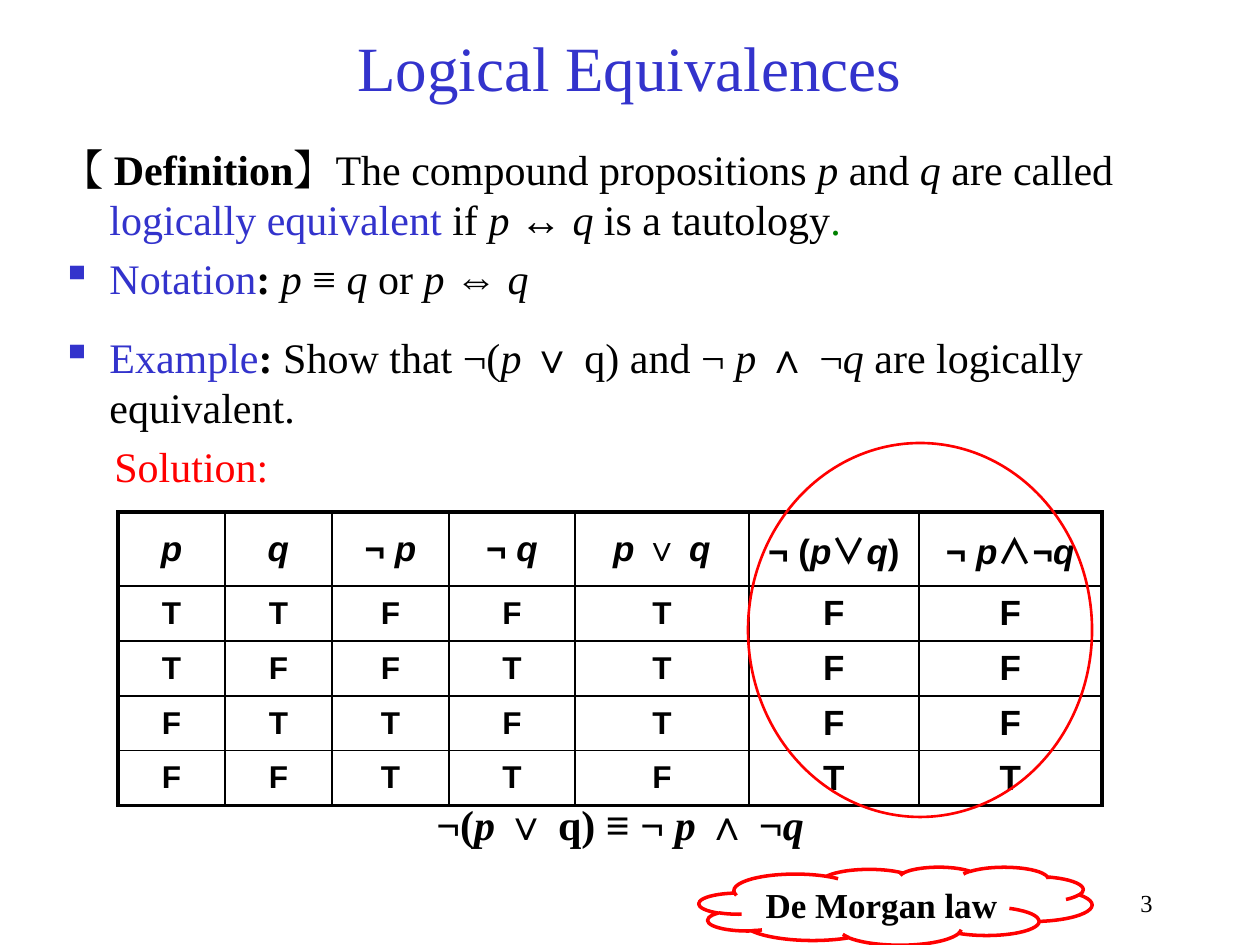
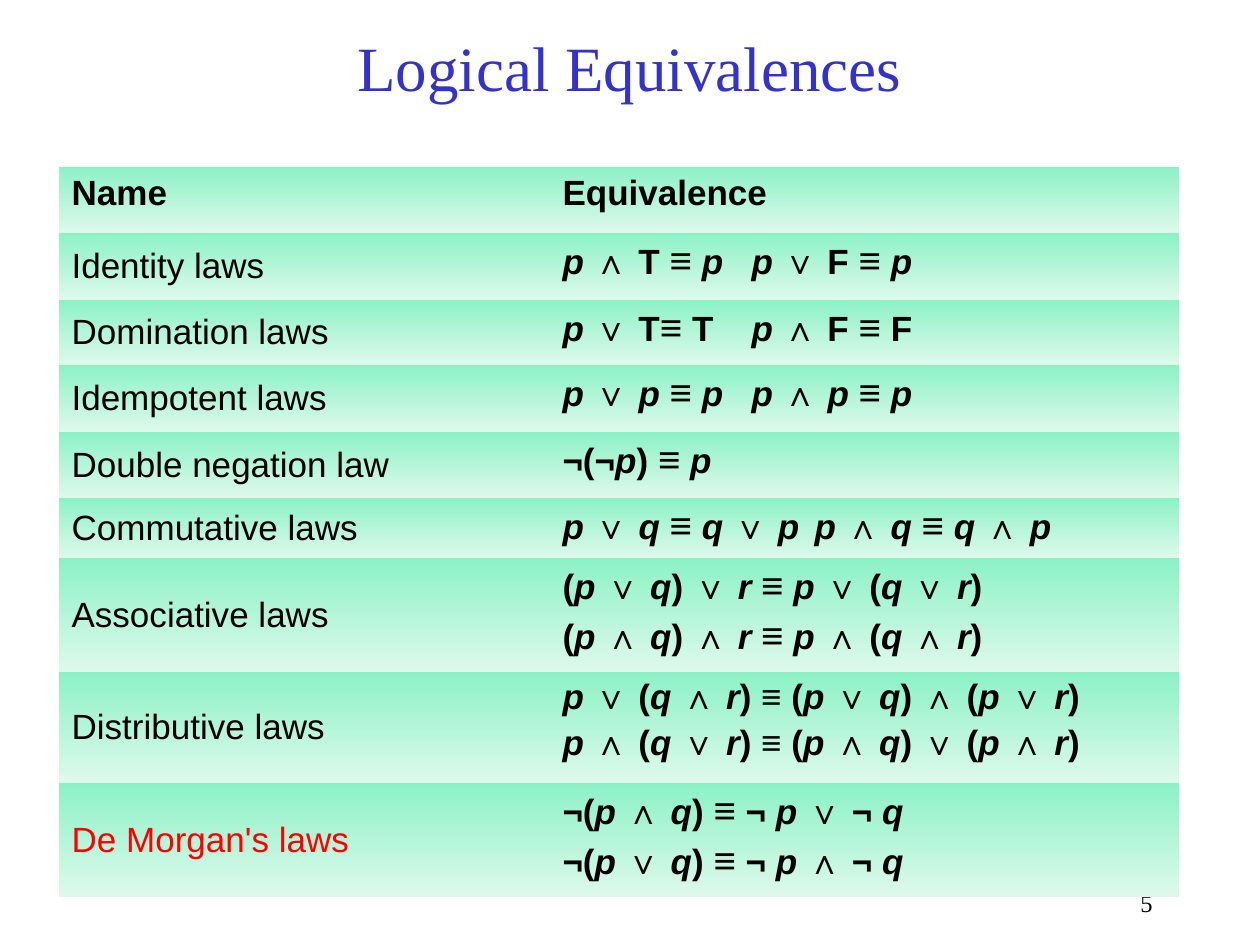
import itertools

import pptx
import pptx.dml.color
import pptx.enum.shapes
import pptx.enum.text
import pptx.oxml
import pptx.oxml.ns
import pptx.util

RGB = pptx.dml.color.RGBColor
BLACK = RGB(0x00, 0x00, 0x00)
BLUE = RGB(0x33, 0x33, 0xCC)
RED = RGB(0xFF, 0x00, 0x00)
GREEN = RGB(0x00, 0x80, 0x00)
MINT = RGB(0x8C, 0xF2, 0xC6)
PALE = RGB(0xDE, 0xF9, 0xEC)

SERIF, SANS, CJK = "Times New Roman", "Arial", "Noto Sans CJK SC"
ALIGN = pptx.enum.text.PP_ALIGN
ANCHOR = pptx.enum.text.MSO_ANCHOR
SHAPE = pptx.enum.shapes.MSO_SHAPE
PLAIN = "{2D5ABB26-0587-4C30-8999-92F81FD0307C}"  # table style with no grid

# Content: _ toggles italic, * bold, ~ blue, ^ red, @ green
TITLE = "Logical Equivalences"
BODY = [
    ("*【 Definition*】The compound propositions _p_ and _q_ are called "
     "~logically equivalent~ if _p_ ↔ _q_ is a tautology@.@",
     dict(left=48, indent=-48)),
    ("~Notation~*:* _p_ ≡ _q_ or _p_ ⇔ _q_",
     dict(left=48, indent=-48, bullet="▪", before=5)),
    ("~Example~*:* Show that ¬(_p_ ∨ q) and ¬ _p_ ∧ ¬_q_ are logically equivalent.",
     dict(left=48, indent=-48, bullet="▪", before=16)),
    ("^Solution:^", dict(left=53, before=5)),
]
RESULT = "¬(_p_ ∨ q) ≡ ¬ _p_ ∧ ¬_q_"
LAW = "De Morgan law"

HEADS = ["p", "q", "¬ p", "¬ q", "p ∨ q", "¬ (p∨q)", "¬ p∧¬q"]
TRUTH = ["TTFFTFF", "TFFTTFF", "FTTFTFF", "FFTTFTT"]
TRUTH_COLS = [107, 107, 117, 126, 174, 170, 183]
TRUTH_ROWS = [74, 55, 55, 54, 54]

LAWS = [  # name, formulas, row height
    ("Identity laws", "p ∧ T ≡ p\tp ∨ F ≡ p", 67),
    ("Domination laws", "p ∨ T≡ T\tp ∧ F ≡ F", 65),
    ("Idempotent laws", "p ∨ p ≡ p\tp ∧ p ≡ p", 67),
    ("Double negation law", "¬(¬p) ≡ p", 66),
    ("Commutative laws", "p ∨ q ≡ q ∨ p\tp ∧ q ≡ q ∧ p", 60),
    ("Associative laws",
     "(p ∨ q) ∨ r ≡ p ∨ (q ∨ r)\n(p ∧ q) ∧ r ≡ p ∧ (q ∧ r)", 114),
    ("Distributive laws",
     "p ∨ (q ∧ r) ≡ (p ∨ q) ∧ (p ∨ r)\np ∧ (q ∨ r) ≡ (p ∧ q) ∨ (p ∧ r)", 111),
    ("^De Morgan's laws^",
     "¬(p ∧ q) ≡ ¬ p ∨ ¬ q\n¬(p ∨ q) ≡ ¬ p ∧ ¬ q", 114),
]
LAW_COLS = [491, 629]
LAW_TAB = 320
MARKS = dict(zip("_*~^@", ["italic", "bold", BLUE, RED, GREEN]))


def px(count):
    return pptx.util.Emu(round(count * 914400 / 126))


def node(tag, inner="", **attrs):
    pairs = "".join(f' {key}="{val}"' for key, val in attrs.items())
    return pptx.oxml.parse_xml(
        f"<a:{tag} {pptx.oxml.ns.nsdecls('a')}{pairs}>{inner}</a:{tag}>")


def split(line):
    """Give (text, marks in force) for each run of a marked line."""
    on, chars = frozenset(), []
    for char in line:
        if char in MARKS:
            on ^= {MARKS[char]}
        else:
            chars.append((char, on))
    for key, group in itertools.groupby(
            chars, lambda pair: (pair[1], pair[0] == "≡", pair[0] in "∨∧")):
        yield "".join(char for char, _ in group), key[0]


def math(text):
    """Set the variables p, q and r in italic."""
    return "".join(f"_{char}_" if char in "pqr" else char for char in text)


def write(frame, text, size=24, face=SERIF, color=BLACK, bold=False,
          align=ALIGN.LEFT, before=0, left=0, indent=0, bullet=None,
          tab=None, equiv=None, wedge=None):
    for line in text.split("\n"):
        para = frame.paragraphs[0]
        if para.runs:
            para = frame.add_paragraph()
            para.space_before = pptx.util.Pt(before)
        para.alignment = align
        props = para._p.get_or_add_pPr()
        props.set("marL", str(px(left)))
        props.set("indent", str(px(indent)))
        if bullet:
            props.append(node("buClr", f'<a:srgbClr val="{BLUE}"/>'))
            props.append(node("buChar", char=bullet))
        if tab:
            props.append(node("tabLst", f'<a:tab pos="{px(tab)}" algn="l"/>'))
        for part, on in split(line):
            run = para.add_run()
            run.text = part
            font = run.font
            font.size = pptx.util.Pt(equiv if equiv and part == "≡" else size)
            font.name = wedge if wedge and part in "∨∧" else face
            font.bold = bold or "bold" in on
            font.italic = "italic" in on
            font.color.rgb = next((c for c in (BLUE, RED, GREEN) if c in on), color)
            run._r.get_or_add_rPr().append(node("ea", typeface=font.name))


def box(slide, left, top, width, height, anchor=ANCHOR.TOP):
    frame = slide.shapes.add_textbox(*map(px, (left, top, width, height))).text_frame
    frame.word_wrap = True
    frame.vertical_anchor = anchor
    return frame


def outline(slide, kind, place, weight):
    shape = slide.shapes.add_shape(kind, *map(px, place))
    shape.shadow.inherit = False
    shape.fill.background()
    shape.line.color.rgb = RED
    shape.line.width = pptx.util.Pt(weight)
    return shape


def grid(slide, left, top, cols, rows):
    shape = slide.shapes.add_table(
        len(rows), len(cols), *map(px, (left, top, sum(cols), sum(rows))))
    for style in shape.element.iter(pptx.oxml.ns.qn("a:tableStyleId")):
        style.text = PLAIN
    table = shape.table
    table.first_row = table.horz_banding = False
    for col, width in zip(table.columns, cols):
        col.width = px(width)
    for row, height in zip(table.rows, rows):
        row.height = px(height)
    return table


def frame_cell(cell, weights):
    """Draw the borders of a cell: left, right, top, bottom."""
    props = cell._tc.get_or_add_tcPr()
    for spot, (side, weight) in enumerate(zip("LRTB", weights)):
        props.insert(spot, node(
            "ln" + side,
            f'<a:solidFill><a:srgbClr val="{BLACK}"/></a:solidFill>',
            w=pptx.util.Pt(weight)))


def start(deck, number):
    """Add a slide with the shared title and page number."""
    slide = deck.slides.add_slide(deck.slide_layouts[6])
    write(box(slide, 94, 16, 1071, 100, ANCHOR.MIDDLE), TITLE,
          size=36, color=BLUE, align=ALIGN.CENTER)
    write(box(slide, 966, 882, 199, 42), str(number), size=14, align=ALIGN.RIGHT)
    return slide


def truth(slide):
    body = box(slide, 49, 137, 1142, 370)
    for text, form in BODY:
        write(body, text, **form)
    write(box(slide, 49, 792, 1142, 60), RESULT, bold=True, align=ALIGN.CENTER)

    # Truth table with a heavy outer frame
    table = grid(slide, 118, 512, TRUTH_COLS, TRUTH_ROWS)
    end, last = len(HEADS) - 1, len(TRUTH)
    for y, line in enumerate([HEADS, *TRUTH]):
        for x, text in enumerate(line):
            cell = table.cell(y, x)
            cell.vertical_anchor = ANCHOR.MIDDLE
            cell.fill.background()
            frame_cell(cell, [2.25 if edge else 1
                              for edge in (x == 0, x == end, y == 0, y == last)])
            write(cell.text_frame, math(text), face=SANS, bold=True,
                  size=20 if y == 0 or x > 4 else 18, align=ALIGN.CENTER,
                  wedge=CJK if x > 4 else None)

    # Red marks
    outline(slide, SHAPE.OVAL, (748, 443, 344, 374), 1.5)
    cloud = outline(slide, SHAPE.CLOUD, (699, 867, 393, 78), 2)
    cloud.text_frame.word_wrap = False
    cloud.text_frame.vertical_anchor = ANCHOR.MIDDLE
    write(cloud.text_frame, LAW, size=20, bold=True, align=ALIGN.CENTER)


def laws(slide):
    table = grid(slide, 59, 167, LAW_COLS, [66] + [law[2] for law in LAWS])
    lines = [("Name", "Equivalence")] + [(name, math(rule)) for name, rule, _ in LAWS]
    for y, line in enumerate(lines):
        for x, text in enumerate(line):
            cell = table.cell(y, x)
            if y and x == 0:
                cell.vertical_anchor = ANCHOR.MIDDLE
            cell.fill.gradient()
            cell.fill.gradient_angle = 270
            for stop, color in zip(cell.fill.gradient_stops, (MINT, PALE)):
                stop.color.rgb = color
            write(cell.text_frame, text, size=20, face=SANS, before=4,
                  bold=y == 0 or x == 1, tab=LAW_TAB if "\t" in text else None,
                  equiv=None if line[0] == "Distributive laws" else 22)


def main():
    deck = pptx.Presentation()
    deck.slide_width, deck.slide_height = px(1260), px(945)
    truth(start(deck, 3))
    laws(start(deck, 5))
    deck.save("out.pptx")


if __name__ == "__main__":
    main()
